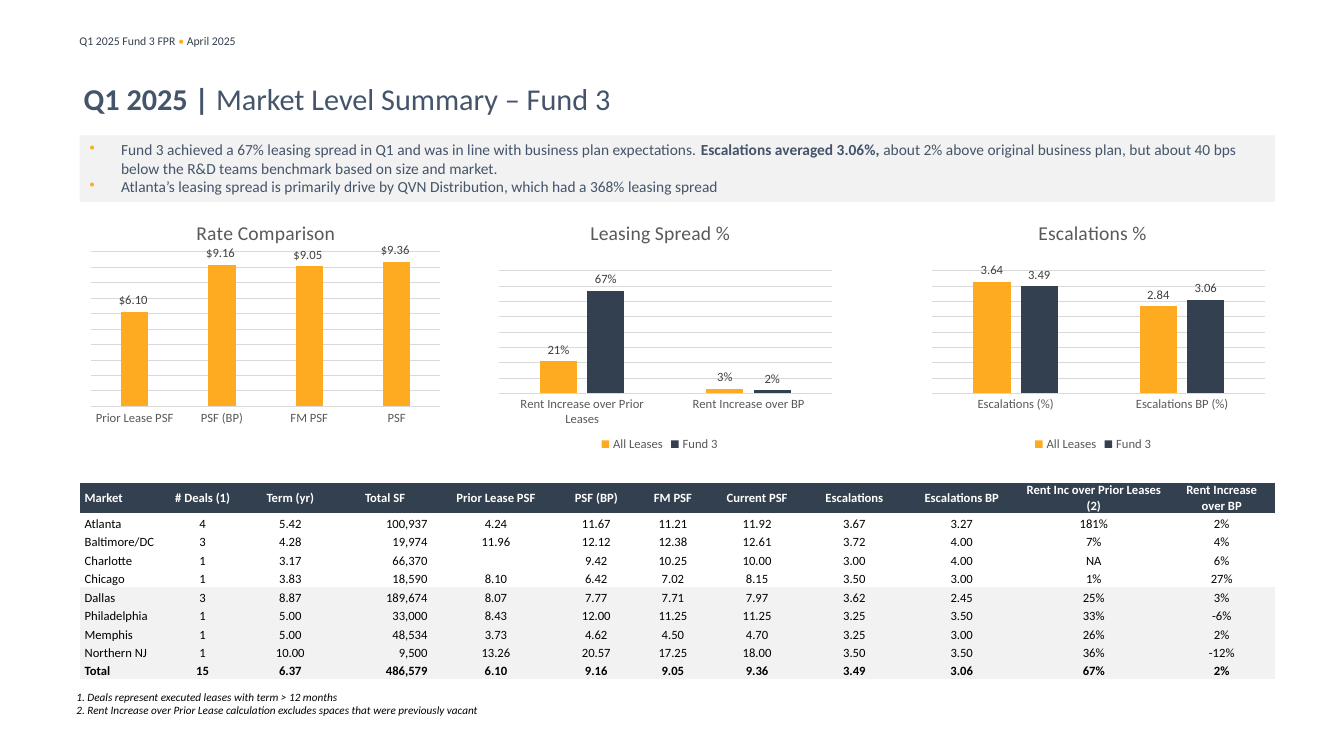
import dataclasses
import lxml.etree
import pptx
import pptx.chart.data
import pptx.dml.color
import pptx.enum.chart
import pptx.enum.shapes
import pptx.enum.text
import pptx.oxml.ns
import pptx.util

Pt = pptx.util.Pt
RGB = pptx.dml.color.RGBColor.from_string
qn = pptx.oxml.ns.qn
ALIGN = pptx.enum.text.PP_ALIGN
ANCHOR = pptx.enum.text.MSO_ANCHOR


@dataclasses.dataclass(frozen=True)
class Theme:
    font: str = "Calibri"
    navy: str = "33404F"
    slate: str = "44546A"
    amber: str = "FFAB21"
    bullet: str = "FEAB21"
    panel: str = "F2F2F2"
    grid: str = "D9D9D9"
    axis_text: str = "595959"
    label_text: str = "404040"
    black: str = "000000"
    white: str = "FFFFFF"
    header_size: float = 8.4
    title_size: float = 21.6
    body_size: float = 11
    chart_title_size: float = 14
    chart_size: float = 10
    small_size: float = 9
    footnote_size: float = 8


theme = Theme()


def style_font(font, size, colour, **flags):
    values = {"name": theme.font, "size": Pt(size), "bold": False, **flags}
    for attribute, value in values.items():
        setattr(font, attribute, value)
    font.color.rgb = RGB(colour)


def write(paragraph, runs, size, **flags):
    for text, colour, bold in runs:
        run = paragraph.add_run()
        run.text = text
        style_font(run.font, size, colour, bold=bold, **flags)


presentation = pptx.Presentation()
presentation.slide_width, presentation.slide_height = Pt(960), Pt(540)
slide = presentation.slides.add_slide(presentation.slide_layouts[6])

report_header = slide.shapes.add_textbox(Pt(49.7), Pt(20.9), Pt(324.7), Pt(17.3)).text_frame
report_header.word_wrap = True
write(report_header.paragraphs[0], [
    ("Q1 2025 Fund 3 FPR ", theme.navy, False),
    ("• ", theme.amber, False),
    ("April 2025", theme.navy, False),
], theme.header_size)

headline = slide.shapes.add_textbox(Pt(59.8), Pt(43.2), Pt(793.4), Pt(54)).text_frame
headline_format = {"word_wrap": True, "vertical_anchor": ANCHOR.MIDDLE, "margin_left": 0,
                   "margin_right": 0, "margin_top": 0, "margin_bottom": 0}
for attribute, value in headline_format.items():
    setattr(headline, attribute, value)
write(headline.paragraphs[0], [
    ("Q1 2025 | ", theme.slate, True),
    ("Market Level Summary – Fund 3", theme.slate, False),
], theme.title_size)

findings = slide.shapes.add_shape(
    pptx.enum.shapes.MSO_SHAPE.RECTANGLE, Pt(56.9), Pt(96.7), Pt(853.9), Pt(47.5))
findings.shadow.inherit = False
findings.fill.solid()
findings.fill.fore_color.rgb = RGB(theme.panel)
findings.line.fill.background()
findings.text_frame.word_wrap = True
findings.text_frame.vertical_anchor = ANCHOR.TOP
finding_texts = [
    [("Fund 3 achieved a 67% leasing spread in Q1 and was in line with business plan expectations. ",
      theme.slate, False),
     ("Escalations averaged 3.06%, ", theme.slate, True),
     ("about 2% above original business plan, but about 40 bps below the R&D teams benchmark "
      "based on size and market.", theme.slate, False)],
    [("Atlanta’s leasing spread is primarily drive by QVN Distribution, which had a 368% leasing spread",
      theme.slate, False)],
]
for number, runs in enumerate(finding_texts):
    finding = findings.text_frame.add_paragraph() if number else findings.text_frame.paragraphs[0]
    finding.alignment = ALIGN.LEFT
    properties = finding._p.get_or_add_pPr()
    properties.set("marL", str(Pt(22.5)))
    properties.set("indent", str(Pt(-22.5)))
    bullet_colour = lxml.etree.SubElement(properties, qn("a:buClr"))
    lxml.etree.SubElement(bullet_colour, qn("a:srgbClr"), val=theme.bullet)
    lxml.etree.SubElement(properties, qn("a:buChar"), char="•")
    write(finding, runs, theme.body_size)

dollars = '"$"#,##0.00_);[Red]\\("$"#,##0.00\\)'
paired_plot = {"x": 0.058, "y": 0.273, "w": 0.915, "h": 0.483}
charts = [
    ("Rate Comparison", 59.8, 162.7, dollars, 10, 1, (0.3, 0.06),
     {"x": 0.02, "y": 0.22, "w": 0.96, "h": 0.68},
     ["Prior Lease PSF", "PSF (BP)", "FM PSF", "PSF"],
     {"Series 1": [6.1, 9.16, 9.05, 9.36]}),
    ("Leasing Spread %", 341.3, 181.4, "0%", 0.8, 0.1, (0.3, 0.055), paired_plot,
     ["Rent Increase over Prior Leases", "Rent Increase over BP"],
     {"All Leases": [0.21, 0.03], "Fund 3": [0.67, 0.02]}),
    ("Escalations %", 650.9, 181.4, "General", 4, 0.5, (0.34, 0.055), paired_plot,
     ["Escalations (%)", "Escalations BP (%)"],
     {"All Leases": [3.64, 2.84], "Fund 3": [3.49, 3.06]}),
]
for title, left, height, number_format, top, step, title_at, plot_at, categories, series in charts:
    data = pptx.chart.data.CategoryChartData(number_format=number_format)
    data.categories = categories
    for name, values in series.items():
        data.add_series(name, values)
    chart = slide.shapes.add_chart(
        pptx.enum.chart.XL_CHART_TYPE.COLUMN_CLUSTERED,
        Pt(left), Pt(144), Pt(259.9), Pt(height), data).chart
    style_font(chart.font, theme.chart_size, theme.black)
    chart.has_title = True
    write(chart.chart_title.text_frame.paragraphs[0], [(title, theme.axis_text, False)],
          theme.chart_title_size)

    chart.has_legend = len(series) > 1
    if chart.has_legend:
        chart.legend.position = pptx.enum.chart.XL_LEGEND_POSITION.BOTTOM
        chart.legend.include_in_layout = False
        style_font(chart.legend.font, theme.small_size, theme.axis_text)

    category_axis, value_axis = chart.category_axis, chart.value_axis
    category_axis.major_tick_mark = pptx.enum.chart.XL_TICK_MARK.NONE
    style_font(category_axis.tick_labels.font, theme.small_size, theme.axis_text)
    value_format = {"minimum_scale": 0, "maximum_scale": top, "major_unit": step,
                    "has_major_gridlines": True, "visible": False}
    for attribute, value in value_format.items():
        setattr(value_axis, attribute, value)
    for rule in (category_axis.format.line, value_axis.major_gridlines.format.line):
        rule.color.rgb = RGB(theme.grid)
        rule.width = Pt(0.75)

    plot = chart.plots[0]
    plot_format = {"gap_width": 219, "overlap": -27, "vary_by_categories": False}
    for attribute, value in plot_format.items():
        setattr(plot, attribute, value)
    for columns, colour in zip(plot.series, (theme.amber, theme.navy)):
        columns.format.fill.solid()
        columns.format.fill.fore_color.rgb = RGB(colour)
        label_format = {"show_value": True, "number_format": number_format,
                        "number_format_is_linked": False,
                        "position": pptx.enum.chart.XL_LABEL_POSITION.OUTSIDE_END}
        for attribute, value in label_format.items():
            setattr(columns.data_labels, attribute, value)
        style_font(columns.data_labels.font, theme.small_size, theme.label_text)

    title_place = dict(zip("xy", title_at))
    plot_area = chart._chartSpace.find(".//" + qn("c:plotArea"))
    for parent, index, place in ((chart.chart_title._element, 1, title_place),
                                 (plot_area, 0, plot_at)):
        for automatic in parent.findall(qn("c:layout")):
            parent.remove(automatic)
        layout = lxml.etree.Element(qn("c:layout"))
        parent.insert(index, layout)
        manual = lxml.etree.SubElement(layout, qn("c:manualLayout"))
        if parent is plot_area:
            lxml.etree.SubElement(manual, qn("c:layoutTarget"), val="inner")
        for axis in "xy":
            lxml.etree.SubElement(manual, qn(f"c:{axis}Mode"), val="edge")
        for edge, share in place.items():
            lxml.etree.SubElement(manual, qn(f"c:{edge}"), val=str(share))

footnotes = slide.shapes.add_textbox(Pt(47.5), Pt(489.6), Pt(861.1), Pt(26.6)).text_frame
footnotes.word_wrap = True
write(footnotes.paragraphs[0], [
    ("1. Deals represent executed leases with term > 12 months", theme.black, False),
], theme.footnote_size, italic=True)
write(footnotes.add_paragraph(), [
    ("2. Rent Increase over Prior Lease calculation excludes spaces that were previously vacant",
     theme.black, False),
], theme.footnote_size, italic=True)

markets = """Market|# Deals (1)|Term (yr)|Total SF|Prior Lease PSF|PSF (BP)|FM PSF|Current PSF|Escalations|Escalations BP|Rent Inc over Prior Leases (2)|Rent Increase over BP
Atlanta|4|5.42|100,937|4.24|11.67|11.21|11.92|3.67|3.27|181%|2%
Baltimore/DC|3|4.28|19,974|11.96|12.12|12.38|12.61|3.72|4.00|7%|4%
Charlotte|1|3.17|66,370||9.42|10.25|10.00|3.00|4.00|NA|6%
Chicago|1|3.83|18,590|8.10|6.42|7.02|8.15|3.50|3.00|1%|27%
Dallas|3|8.87|189,674|8.07|7.77|7.71|7.97|3.62|2.45|25%|3%
Philadelphia|1|5.00|33,000|8.43|12.00|11.25|11.25|3.25|3.50|33%|-6%
Memphis|1|5.00|48,534|3.73|4.62|4.50|4.70|3.25|3.00|26%|2%
Northern NJ|1|10.00|9,500|13.26|20.57|17.25|18.00|3.50|3.50|36%|-12%
Total|15|6.37|486,579|6.10|9.16|9.05|9.36|3.49|3.06|67%|2%"""
market_rows = [line.split("|") for line in markets.split("\n")]
column_widths = [56.9, 61.9, 63.4, 72, 86.4, 56.9, 52.6, 67.7, 71.3, 82.1, 106.5, 76.3]
market_table = slide.shapes.add_table(
    len(market_rows), len(column_widths), Pt(56.9), Pt(344.9), Pt(854), Pt(140.4)).table
market_table.horz_banding = False
market_table._tbl.tblPr.find(qn("a:tableStyleId")).text = "{2D5ABB26-0587-4C30-8999-92F81FD0307C}"
for column, width in zip(market_table.columns, column_widths):
    column.width = Pt(width)

for row, entries in enumerate(market_rows):
    heading = row == 0
    market_table.rows[row].height = Pt(21.6 if heading else 13.2)
    for column, entry in enumerate(entries):
        square_feet = column == 3 and not heading
        cell = market_table.cell(row, column)
        cell_format = {"margin_left": Pt(3.6), "margin_right": Pt(5.7 if square_feet else 3.6),
                       "margin_top": 0, "margin_bottom": 0,
                       "vertical_anchor": ANCHOR.MIDDLE if heading else ANCHOR.BOTTOM}
        for attribute, value in cell_format.items():
            setattr(cell, attribute, value)
        if heading or row >= 5:
            cell.fill.solid()
            cell.fill.fore_color.rgb = RGB(theme.navy if heading else theme.panel)
        else:
            cell.fill.background()
        line = cell.text_frame.paragraphs[0]
        line.alignment = ALIGN.LEFT if column == 0 else ALIGN.RIGHT if square_feet else ALIGN.CENTER
        if entry:
            write(line, [(entry, theme.white if heading else theme.black,
                          heading or entries[0] == "Total")], theme.small_size)
        else:
            lxml.etree.SubElement(line._p, qn("a:endParaRPr"), sz=str(theme.small_size * 100))

presentation.save("out.pptx")
